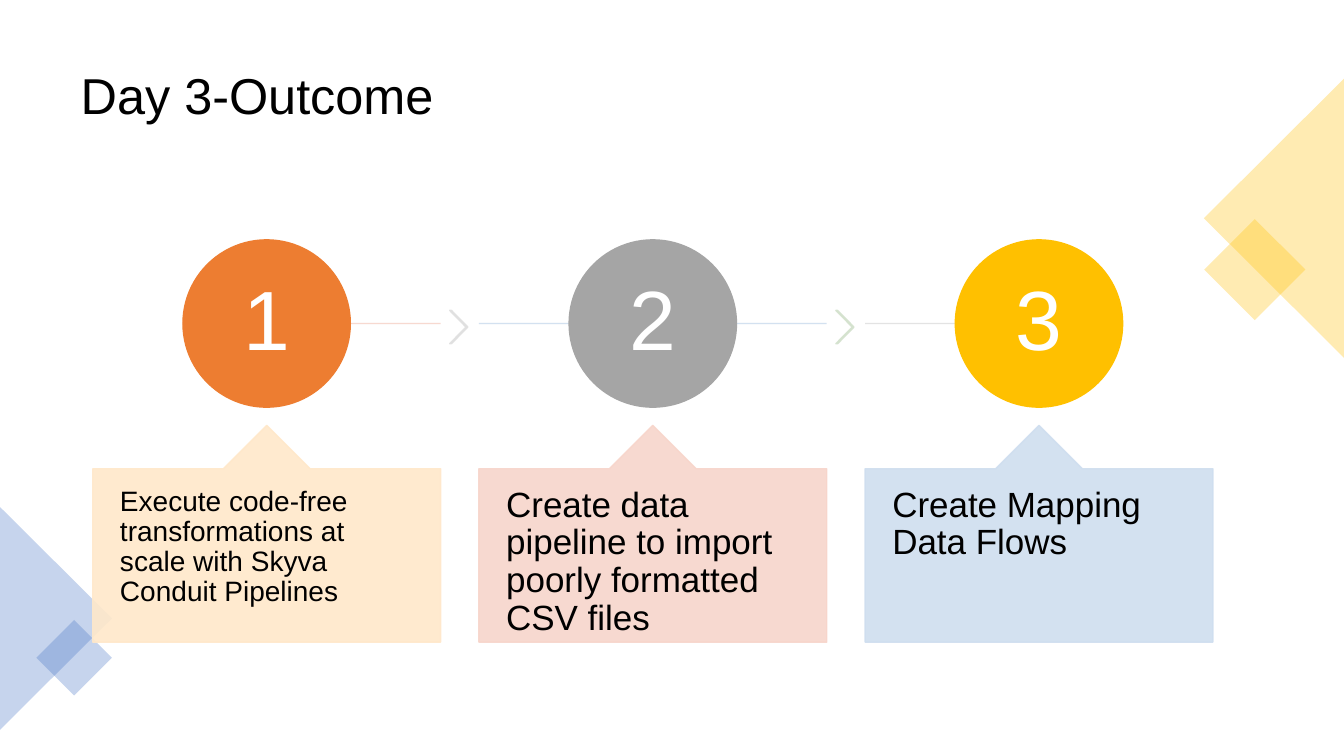
from lxml.etree import SubElement
from pptx import Presentation
from pptx.dml.color import RGBColor
from pptx.enum.shapes import MSO_CONNECTOR, MSO_SHAPE
from pptx.enum.text import MSO_ANCHOR, PP_ALIGN
from pptx.oxml.ns import qn
from pptx.util import Inches, Pt

COLOURS = {
    "black": "000000", "white": "FFFFFF", "orange": "ED7D31", "grey": "A5A5A5",
    "gold": "FFC000", "blue": "4472C4", "cream": "FFE8CA", "rose": "F7D5CB",
    "sky": "CFDEEF", "silver": "E0E0E0", "sage": "D4E2CE",
}
STEP_LEFT, STEP_PITCH = 0.92, 3.83
CARD_WIDTH, CARD_TOP, CARD_HEIGHT = 3.45, 4.22, 2.15
CARD_TIP = 0.43
CIRCLE_TOP, CIRCLE_SIZE = 2.38, 1.66
NUMBER_SIZE = 1.17

# text, text size, circle, card, line colour, line start and end within the step
STEPS = [
    ("Execute code-free transformations at scale with Skyva Conduit Pipelines",
     20, "orange", "cream", "rose", 1.92, CARD_WIDTH),
    ("Create data pipeline to import poorly formatted CSV files",
     25, "grey", "rose", "sky", 0, CARD_WIDTH),
    ("Create Mapping Data Flows",
     25, "gold", "sky", "silver", 0, 1.72),
]
CHEVRONS = ["silver", "sage"]


class StepSlide:
    def __init__(self, deck, font_name):
        self.page = deck.slides.add_slide(deck.slide_layouts[5])
        self.font_name = font_name

    def paint(self, colour_format, name):
        colour_format.rgb = RGBColor.from_string(COLOURS[name])

    def fade(self, element, opacity):
        """Set the opacity, in percent, of every solid colour in the element."""
        for colour in element.iter(qn("a:srgbClr")):
            SubElement(colour, qn("a:alpha")).set("val", str(opacity * 1000))

    def fill_text(self, box, text, size, colour, anchor, margins, align=PP_ALIGN.LEFT):
        frame = box.text_frame
        frame.word_wrap = True
        frame.vertical_anchor = anchor
        frame.margin_left = frame.margin_right = Inches(margins[0])
        frame.margin_top = frame.margin_bottom = Inches(margins[1])
        para = frame.paragraphs[0]
        para.alignment = align
        para.line_spacing = 0.9
        span = para.add_run()
        span.text = text
        span.font.name = self.font_name
        span.font.size = Pt(size)
        self.paint(span.font.color, colour)

    def title(self, text, left, top, width, height):
        box = self.page.shapes.title
        box.left, box.top = Inches(left), Inches(top)
        box.width, box.height = Inches(width), Inches(height)
        self.fill_text(box, text, 36, "black", MSO_ANCHOR.MIDDLE, (0.1, 0.05))

    def text(self, text, size, colour, left, top, width, height, **style):
        box = self.page.shapes.add_textbox(
            Inches(left), Inches(top), Inches(width), Inches(height))
        self.fill_text(box, text, size, colour, **style)

    def shape(self, kind, colour, left, top, width, height, opacity=100,
              rotation=0, outlined=True, adjustments=()):
        shape = self.page.shapes.add_shape(
            kind, Inches(left), Inches(top), Inches(width), Inches(height))
        shape.shadow.inherit = False
        shape.rotation = rotation
        for index, value in enumerate(adjustments):
            shape.adjustments[index] = value
        shape.fill.solid()
        self.paint(shape.fill.fore_color, colour)
        if outlined:
            self.paint(shape.line.color, colour)
            shape.line.width = Pt(1)
        else:
            shape.line.fill.background()
        if opacity < 100:
            self.fade(shape._element.spPr, opacity)

    def line(self, colour, start, end, y):
        line = self.page.shapes.add_connector(
            MSO_CONNECTOR.STRAIGHT, Inches(start), Inches(y), Inches(end), Inches(y))
        self.paint(line.line.color, colour)
        line.line.width = Pt(1)
        properties = line._element.spPr
        self.fade(properties, 90)
        SubElement(properties, qn("a:effectLst"))

    def decoration(self, kind, colour, left, top, width, height, rotation):
        self.shape(kind, colour, left, top, width, height, opacity=30,
                   rotation=rotation, outlined=False)

    def step(self, number, text, size, circle, card, line, start, end):
        left = STEP_LEFT + (number - 1) * STEP_PITCH
        middle = left + CARD_WIDTH / 2
        centre = CIRCLE_TOP + CIRCLE_SIZE / 2
        self.line(line, left + start, left + end, centre)
        if number <= len(CHEVRONS):
            self.shape(MSO_SHAPE.CHEVRON, CHEVRONS[number - 1], left + 3.54, 3.08,
                       0.18, 0.33, opacity=90, adjustments=[0.9])
        self.shape(MSO_SHAPE.OVAL, circle, middle - CIRCLE_SIZE / 2, CIRCLE_TOP,
                   CIRCLE_SIZE, CIRCLE_SIZE)
        self.text(str(number), 60, "white", middle - NUMBER_SIZE / 2,
                  centre - NUMBER_SIZE / 2, NUMBER_SIZE, NUMBER_SIZE,
                  anchor=MSO_ANCHOR.MIDDLE, margins=(0.06, 0.06),
                  align=PP_ALIGN.CENTER)
        self.shape(MSO_SHAPE.UP_ARROW_CALLOUT, card, left, CARD_TOP, CARD_WIDTH,
                   CARD_HEIGHT, opacity=90, adjustments=[0.5, 0.2, 0.2, 1])
        self.text(text, size, "black", left, CARD_TOP + CARD_TIP, CARD_WIDTH,
                  CARD_HEIGHT - CARD_TIP, anchor=MSO_ANCHOR.TOP,
                  margins=(0.27, 0.18))


def main():
    deck = Presentation()
    deck.slide_width, deck.slide_height = Inches(13.33), Inches(7.5)
    slide = StepSlide(deck, "Arial")
    slide.title("Day 3-Outcome", 0.7, 0.35, 11.93, 1.24)
    slide.decoration(MSO_SHAPE.RECTANGLE, "gold", 12.09, 2.32, 0.71, 0.71, 45)
    slide.decoration(MSO_SHAPE.ISOSCELES_TRIANGLE, "gold", 11.25, 1.47, 2.77, 1.39, 270)
    slide.decoration(MSO_SHAPE.ISOSCELES_TRIANGLE, "blue", -0.55, 5.58, 2.21, 1.11, 90)
    slide.decoration(MSO_SHAPE.RECTANGLE, "blue", 0.47, 6.26, 0.53, 0.53, 45)
    for number, step in enumerate(STEPS, start=1):
        slide.step(number, *step)
    deck.save("out.pptx")


if __name__ == "__main__":
    main()
